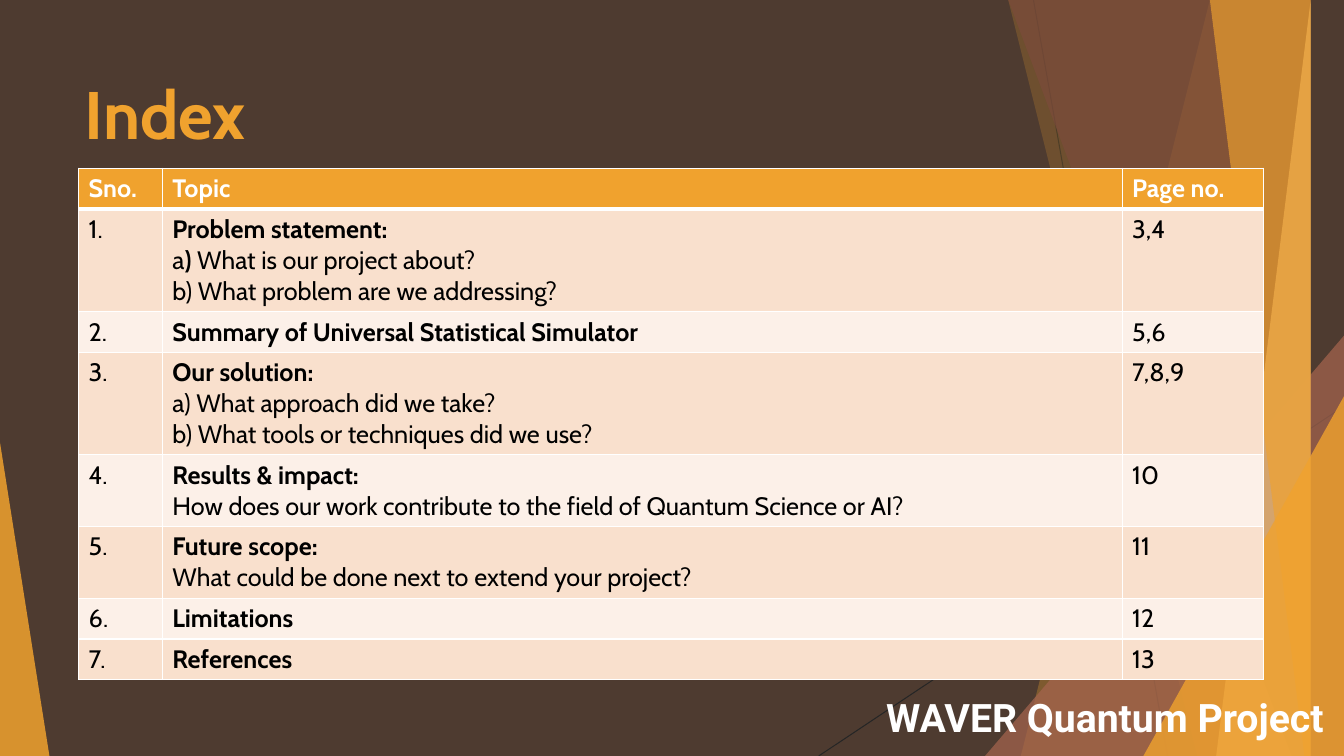
from lxml import etree
from pptx import Presentation
from pptx import util as u
from pptx.dml.color import RGBColor
from pptx.enum import shapes, text
from pptx.oxml.ns import qn

WIDTH, HEIGHT = 13.33, 7.5
COLORS = {
    "brown": "4E3B30", "amber": "F0A22E", "rust": "A5644E", "umber": "7C4B3B",
    "sand": "F6C782", "hairline": "262626", "white": "FFFFFF", "black": "000000",
    "odd row": "F9E0CD", "even row": "FCF0E8",
}
# Text between double asterisks is bold.
INDEX_ROWS = [
    ("**Sno.**", ["**Topic**"], "**Page no.**"),
    ("1.", ["**Problem statement:**", "a**) **What is our project about?",
            "b) What problem are we addressing?"], "3,4"),
    ("2.", ["**Summary of Universal Statistical Simulator**"], "5,6"),
    ("3.", ["**Our solution:**", "a) What approach did we take?",
            "b) What tools or techniques did we use?"], "7,8,9"),
    ("4.", ["**Results & impact:**",
            "How does our work contribute to the field of Quantum Science or AI?"], "10"),
    ("5.", ["**Future scope:**", "What could be done next to extend your project?"], "11"),
    ("6.", ["**Limitations**"], "12"),
    ("7.", ["**References**"], "13"),
]
COLUMN_WIDTHS = [0.83, 9.52, 1.4]
LINE_HEIGHT, CELL_PADDING = 0.305, 0.1
# Top x, bottom x, colour, opacity in percent; each facet reaches the right edge.
BACK_FACETS = [(12.28, 10.04, "amber", 30), (10.5, 11.83, "amber", 20)]
FRONT_FACETS = [(10.21, 12.91, "umber", 70), (13.03, 11.92, "sand", 70),
                (11.96, 13.18, "amber", 65)]


def rgb(name):
    return RGBColor.from_string(COLORS[name])


def fill_translucent(shape, color, opacity):
    shape.shadow.inherit = False
    shape.line.fill.background()
    shape.fill.solid()
    shape.fill.fore_color.rgb = rgb(color)
    color_element = shape.fill._xPr.find(".//" + qn("a:srgbClr"))
    etree.SubElement(color_element, qn("a:alpha"), val=str(opacity * 1000))


def add_hairline(slide, start, end):
    line = slide.shapes.add_connector(
        shapes.MSO_CONNECTOR.STRAIGHT, *[u.Inches(value) for value in start + end])
    line.line.color.rgb = rgb("hairline")
    line.line.width = u.Pt(0.75)
    etree.SubElement(line._element.spPr, qn("a:effectLst"))


def add_facet(slide, top_x, bottom_x, color, opacity):
    builder = slide.shapes.build_freeform(top_x, 0, scale=u.Inches(1))
    builder.add_line_segments([(WIDTH, 0), (WIDTH, HEIGHT), (bottom_x, HEIGHT)])
    fill_translucent(builder.convert_to_shape(), color, opacity)


def add_corner(slide, left, width, height, apex, color, opacity):
    """Add a triangle standing on the slide's bottom edge."""
    triangle = slide.shapes.add_shape(
        shapes.MSO_SHAPE.ISOSCELES_TRIANGLE, u.Inches(left), u.Inches(HEIGHT - height),
        u.Inches(width), u.Inches(height))
    triangle.adjustments[0] = apex
    fill_translucent(triangle, color, opacity)


def add_backdrop(slide):
    add_hairline(slide, (10.25, 0), (11.58, HEIGHT))
    add_hairline(slide, (WIDTH, 4.03), (8.12, HEIGHT))
    for facet in BACK_FACETS:
        add_facet(slide, *facet)
    add_corner(slide, 9.77, 3.56, 4.17, 1, "rust", 72)
    for facet in FRONT_FACETS:
        add_facet(slide, *facet)
    add_corner(slide, 11.34, 1.99, 3.57, 1, "amber", 80)
    add_corner(slide, 0, 0.49, 3.11, 0, "amber", 85)


def write_lines(frame, lines, font, size, color):
    for number, line in enumerate(lines):
        paragraph = frame.paragraphs[0] if number == 0 else frame.add_paragraph()
        paragraph.alignment = text.PP_ALIGN.LEFT
        for part, words in enumerate(line.split("**")):
            if words:
                run = paragraph.add_run()
                run.text = words
                run.font.color.rgb = rgb(color)
                formats = {"name": font, "size": u.Pt(size), "bold": part % 2 == 1}
                for key, value in formats.items():
                    setattr(run.font, key, value)


def set_title(slide, words):
    title = slide.shapes.title
    box = {"left": 0.74, "top": 0.67, "width": 9.4, "height": 1.44}
    for key, value in box.items():
        setattr(title, key, u.Inches(value))
    title.text_frame.vertical_anchor = text.MSO_ANCHOR.TOP
    write_lines(title.text_frame, [f"**{words}**"], "Cabin", 48, "amber")


def set_borders(cell, bottom_width):
    properties = cell._tc.get_or_add_tcPr()
    widths = {"lnL": 1, "lnR": 1, "lnT": 1, "lnB": bottom_width}
    for position, (side, width) in enumerate(widths.items()):
        border = etree.Element(qn("a:" + side), w=str(u.Pt(width)))
        solid = etree.SubElement(border, qn("a:solidFill"))
        etree.SubElement(solid, qn("a:srgbClr"), val=COLORS["white"])
        properties.insert(position, border)


def add_index_table(slide):
    heights = [CELL_PADDING + LINE_HEIGHT * len(topic) for _, topic, _ in INDEX_ROWS]
    table = slide.shapes.add_table(
        len(INDEX_ROWS), len(COLUMN_WIDTHS), u.Inches(0.78), u.Inches(1.67),
        u.Inches(sum(COLUMN_WIDTHS)), u.Inches(sum(heights))).table
    for column, width in zip(table.columns, COLUMN_WIDTHS):
        column.width = u.Inches(width)
    for number, (serial, topic, page) in enumerate(INDEX_ROWS):
        header = number == 0
        table.rows[number].height = u.Inches(heights[number])
        fill = "amber" if header else "odd row" if number % 2 else "even row"
        for cell, lines in zip(table.rows[number].cells, ([serial], topic, [page])):
            cell.fill.solid()
            cell.fill.fore_color.rgb = rgb(fill)
            set_borders(cell, 3 if header else 1)
            write_lines(cell.text_frame, lines, "Cabin", 18, "white" if header else "black")


def add_project_name(slide, words):
    box = slide.shapes.add_textbox(
        u.Inches(8.69), u.Inches(6.83), u.Inches(4.88), u.Inches(0.57))
    box.text_frame.word_wrap = True
    write_lines(box.text_frame, [f"**{words}**"], "Roboto", 28, "white")


def main():
    presentation = Presentation()
    presentation.slide_width = u.Inches(WIDTH)
    presentation.slide_height = u.Inches(HEIGHT)
    slide = presentation.slides.add_slide(presentation.slide_layouts[5])
    slide.background.fill.solid()
    slide.background.fill.fore_color.rgb = rgb("brown")
    add_backdrop(slide)
    set_title(slide, "Index")
    add_index_table(slide)
    add_project_name(slide, "WAVER Quantum Project")
    presentation.save("out.pptx")


if __name__ == "__main__":
    main()
